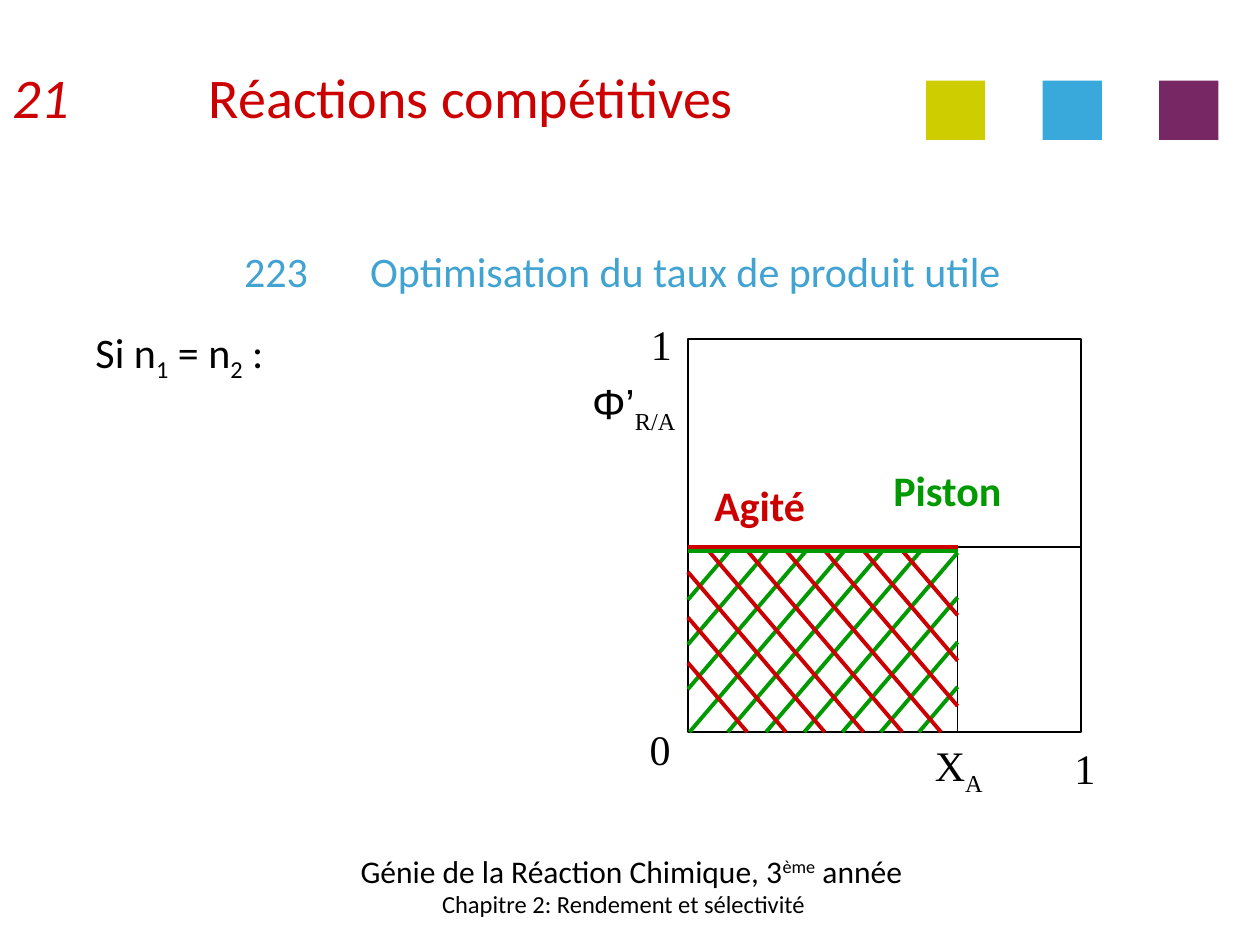
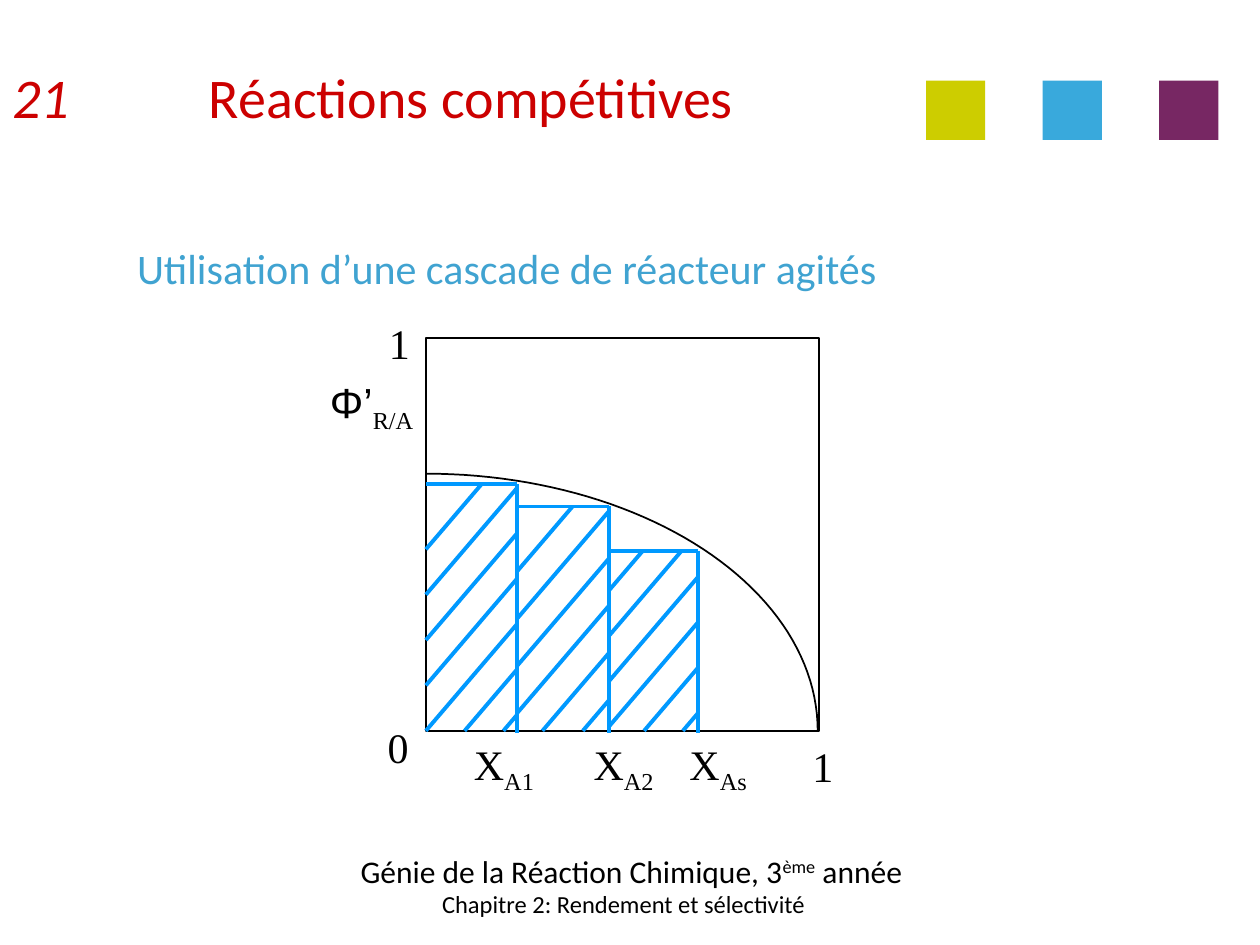
from math import cos, pi, sin
from lxml.etree import SubElement
from pptx import Presentation
from pptx.dml.color import RGBColor
from pptx.enum.shapes import MSO_CONNECTOR, MSO_SHAPE
from pptx.enum.text import MSO_ANCHOR, PP_ALIGN
from pptx.oxml.ns import qn
from pptx.util import Inches, Pt

BLACK, WHITE = "000000", "FFFFFF"
RED, GREEN, BLUE = "CC0000", "009900", "0099FF"
HEADING = "40A3D1"
SQUARES = ["CDCD00", "39A9DC", "772763"]
SANS, SERIF, GREEK = "Calibri", "Times New Roman", "Arial"
SIDE = 3.12
SLOPE = 1.17


def rgb(color):
    return RGBColor.from_string(color)


def add_run(p, text, size=24, color=BLACK, font=SANS, bold=False, italic=False, base=0):
    r = p.add_run()
    r.text = text
    r.font.name, r.font.size = font, Pt(size)
    r.font.bold, r.font.italic = bold, italic
    r.font.color.rgb = rgb(color)
    if base:
        r.font._element.set("baseline", str(base * 1000))


def add_text(s, x, y, w, h, runs, align=PP_ALIGN.LEFT, anchor=MSO_ANCHOR.MIDDLE, wrap=True):
    tf = s.shapes.add_textbox(Inches(x), Inches(y), Inches(w), Inches(h)).text_frame
    tf.word_wrap, tf.vertical_anchor = wrap, anchor
    p = tf.paragraphs[0]
    p.alignment = align
    for text, style in runs:
        add_run(p, text, **style)
    return p


def set_indent(p, margin, first=0, tab=None):
    pPr = p._p.get_or_add_pPr()
    pPr.set("marL", str(Inches(margin)))
    pPr.set("indent", str(Inches(first)))
    if tab:
        tabs = SubElement(pPr, qn("a:tabLst"))
        SubElement(tabs, qn("a:tab"), pos=str(Inches(tab)), algn="l")


def add_label(s, center, y, runs):
    w = 1.2
    add_text(s, center - w / 2, y, w, 0.5, runs, PP_ALIGN.CENTER, MSO_ANCHOR.TOP, False)


def add_symbol(s, center, y, symbol, index="", font=SERIF):
    runs = [(symbol, dict(font=font))]
    if index:
        runs.append((index, dict(font=SERIF, base=-25)))
    add_label(s, center, y, runs)


def add_line(s, x1, y1, x2, y2, color=BLACK, width=1.0):
    cn = s.shapes.add_connector(
        MSO_CONNECTOR.STRAIGHT, Inches(x1), Inches(y1), Inches(x2), Inches(y2))
    cn.line.color.rgb, cn.line.width = rgb(color), Pt(width)
    SubElement(cn._element.spPr, qn("a:effectLst"))


def add_rect(s, x, y, w, h, fill, line=None):
    sp = s.shapes.add_shape(MSO_SHAPE.RECTANGLE, Inches(x), Inches(y), Inches(w), Inches(h))
    sp.shadow.inherit = False
    sp.fill.solid()
    sp.fill.fore_color.rgb = rgb(fill)
    if line:
        sp.line.color.rgb, sp.line.width = rgb(line), Pt(1)
    else:
        sp.line.fill.background()


def add_hatch(s, x, y, w, h, first, pitch, count, slope, color):
    for i in range(count):
        start = first + i * pitch
        ends = sorted([-start / slope, (h - start) / slope])
        x1, x2 = max(0, ends[0]), min(w, ends[1])
        add_line(s, x + x1, y + start + slope * x1, x + x2, y + start + slope * x2, color, 2.25)


def add_title(s):
    p = add_text(s, 0, 0.14, 7.55, 1.25, [
        ("21", dict(size=32, color=RED, italic=True)),
        ("\tRéactions compétitives", dict(size=32, color=RED))])
    set_indent(p, 1.56, -1.56)


def add_squares(s, x, y):
    for i, color in enumerate(SQUARES):
        add_rect(s, x + i * 0.925, y, 0.47, 0.47, color)


def add_footer(s):
    add_text(s, 2.72, 6.66, 4.58, 0.5, [
        ("Génie de la Réaction Chimique, 3", dict(size=18)),
        ("ème", dict(size=18, base=30)),
        (" année", dict(size=18))], PP_ALIGN.CENTER)
    add_text(s, 2.95, 6.92, 4, 0.5,
             [("Chapitre 2: Rendement et sélectivité", dict(size=14))], PP_ALIGN.CENTER)


def add_heading(s, y, text, margin, tab=None):
    p = add_text(s, 0.38, y, 8.5, 1.25, [(text, dict(color=HEADING))])
    set_indent(p, margin, tab=tab)


def add_plot_frame(s, x, y):
    add_rect(s, x, y, SIDE, SIDE, WHITE, BLACK)
    add_symbol(s, x - 0.22, y + 3, "0")
    add_symbol(s, x - 0.21, y - 0.21, "1")
    add_symbol(s, x + 3.15, y + 3.15, "1")
    add_symbol(s, x - 0.43, y + 0.26, "Φ’", "R/A", GREEK)


def add_equal_orders_plot(s, x, y):
    add_plot_frame(s, x, y)
    add_symbol(s, x + 2.15, y + 3.13, "X", "A")
    level, conversion = 1.65, 2.14
    area = x, y + 1.68, conversion, 1.44
    add_line(s, x + conversion, y + 1.68, x + conversion, y + SIDE)
    add_hatch(s, *area, 0.39, 0.355, 10, -SLOPE, GREEN)
    add_hatch(s, *area, 0.89, -0.36, 9, SLOPE, RED)
    add_line(s, x, y + level, x + SIDE, y + level)
    add_line(s, x, y + level, x + conversion, y + level, RED, 2.25)
    add_line(s, x, y + 1.68, x + conversion, y + 1.68, GREEN, 2.25)
    add_label(s, x + 2.06, y + 0.95, [("Piston", dict(color=GREEN, bold=True))])
    add_label(s, x + 0.57, y + 1.07, [("Agité", dict(color=RED, bold=True))])


def add_curve(s, x, y, rx, ry, steps=48):
    angles = [pi / 2 * i / steps for i in range(steps + 1)]
    points = [(Inches(x + rx * sin(a)), Inches(y - ry * cos(a))) for a in angles]
    builder = s.shapes.build_freeform(*points[0], scale=1.0)
    builder.add_line_segments(points[1:], close=False)
    sp = builder.convert_to_shape()
    sp.shadow.inherit = False
    sp.fill.background()
    sp.line.color.rgb, sp.line.width = rgb(BLACK), Pt(1)


def add_cascade_plot(s, x, y):
    add_plot_frame(s, x, y)
    add_curve(s, x, y + SIDE, 3.11, 2.04)
    reactors = [
        (0, 0.72, 1.16, 0.52, 0.36, 7),
        (0.72, 1.45, 1.34, 0.52, 0.375, 6),
        (1.45, 2.16, 1.69, 0.32, 0.36, 6),
    ]
    for left, right, top, first, pitch, count in reactors:
        add_hatch(s, x + left, y + top, right - left, SIDE - top,
                  first, pitch, count, -SLOPE, BLUE)
        add_line(s, x + left, y + top, x + right, y + top, BLUE, 2.25)
        add_line(s, x + right, y + top, x + right, y + SIDE + 0.02, BLUE, 2.25)
    for center, index in [(0.62, "A1"), (1.57, "A2"), (2.32, "As")]:
        add_symbol(s, x + center, y + 3.13, "X", index)


def new_slide(prs):
    s = prs.slides.add_slide(prs.slide_layouts[6])
    add_footer(s)
    add_squares(s, 7.35, 0.64)
    add_title(s)
    return s


def build_equal_orders(prs):
    s = new_slide(prs)
    add_heading(s, 1.52, "223\tOptimisation du taux de produit utile", 1.46, 0.91)
    add_text(s, 0.66, 2.54, 1.57, 0.5, [
        ("Si n", {}), ("1", dict(base=-25)), (" = n", {}),
        ("2", dict(base=-25)), (" :", {})], anchor=MSO_ANCHOR.TOP, wrap=False)
    add_equal_orders_plot(s, 5.46, 2.69)


def build_cascade(prs):
    s = new_slide(prs)
    add_heading(s, 1.5, "Utilisation d’une cascade de réacteur agités", 0.61)
    add_cascade_plot(s, 3.38, 2.68)


def main():
    prs = Presentation()
    prs.slide_width, prs.slide_height = Inches(10), Inches(7.5)
    build_equal_orders(prs)
    build_cascade(prs)
    prs.save("out.pptx")


if __name__ == "__main__":
    main()
